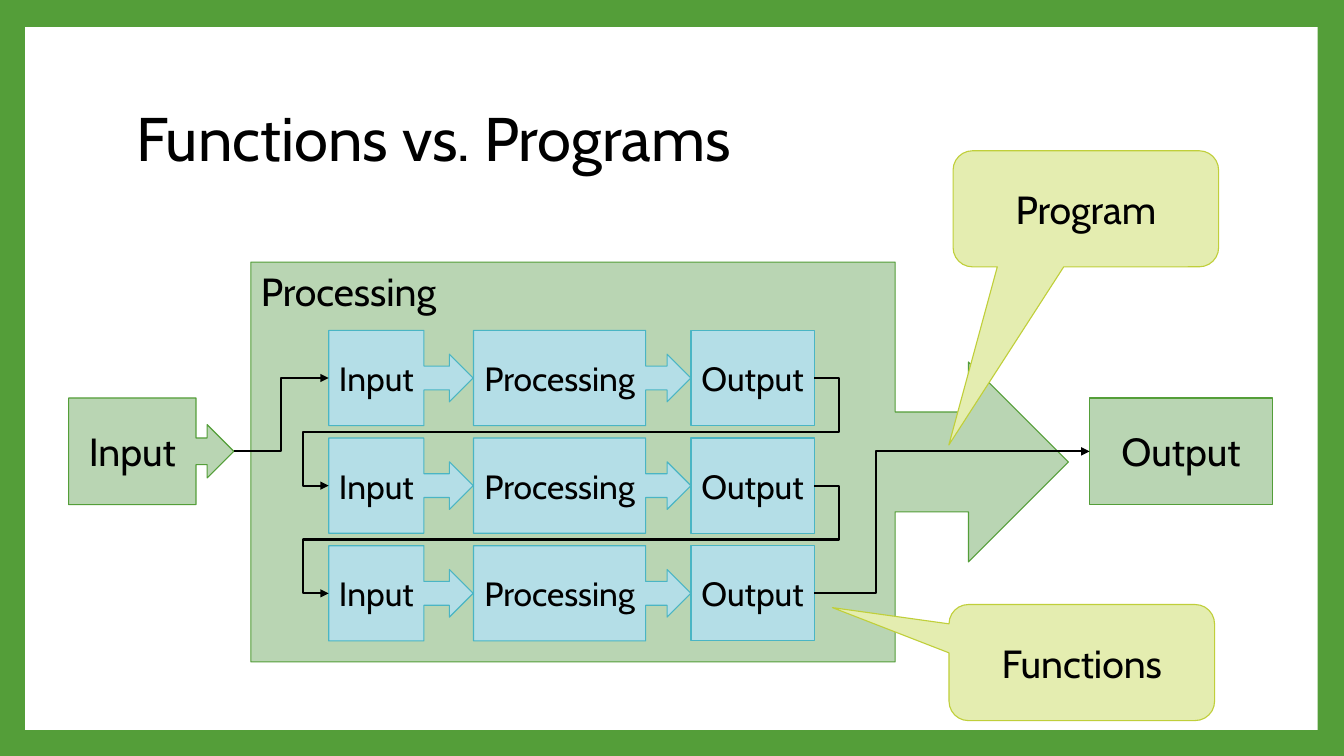
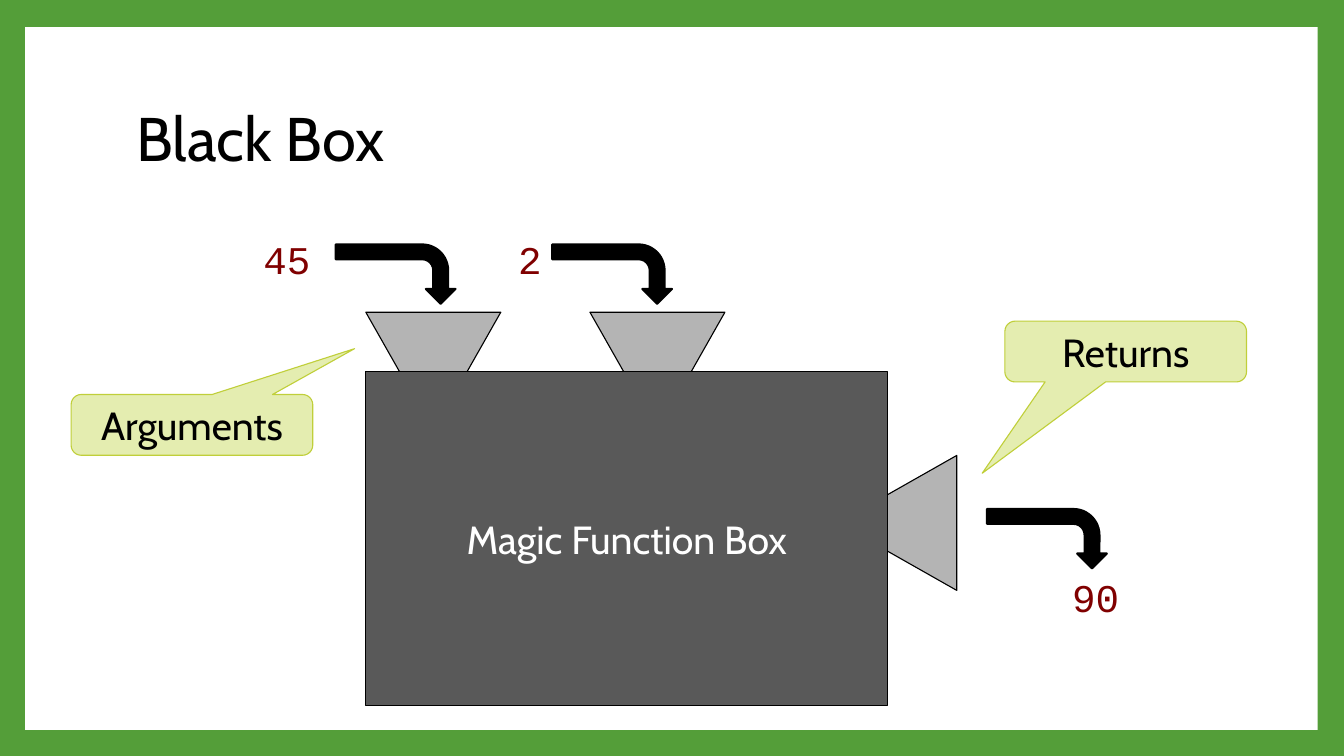
from dataclasses import dataclass

from lxml.etree import SubElement
from pptx import Presentation
from pptx.dml.color import RGBColor as RGB
from pptx.enum.shapes import MSO_CONNECTOR as CONN, MSO_SHAPE as SHAPE
from pptx.enum.text import MSO_ANCHOR as ANCHOR, MSO_AUTO_SIZE as AUTO, PP_ALIGN as ALIGN
from pptx.oxml.ns import qn
from pptx.util import Pt


@dataclass(frozen=True)
class Theme:
    frame: str = "549E39"
    paper: str = "FFFFFF"
    ink: str = "000000"
    value: str = "800000"
    # (fill, line) pairs
    green: tuple = ("B9D5B3", "549E39")
    blue: tuple = ("B4DEE7", "4AB5C4")
    lime: tuple = ("E4EDB0", "C0CF3A")
    grey: tuple = ("B4B4B4", "000000")
    dark: tuple = ("595959", "000000")
    black: tuple = ("000000", "000000")
    font: str = "Cabin"
    code: str = "Courier New"
    title: int = 44
    label: int = 28
    small: int = 24
    outline: float = 0.8
    wire: float = 1.5


T = Theme()


def add_box(s, kind, at, pair, text="", size=T.label, color=T.ink, adj=(), rot=0):
    """Add a filled shape with a centred label."""
    sp = s.shapes.add_shape(kind, *map(Pt, at))
    sp.shadow.inherit = False
    sp.rotation = rot
    for i, value in enumerate(adj):
        sp.adjustments[i] = value
    fill, line = pair
    sp.fill.solid()
    sp.fill.fore_color.rgb = RGB.from_string(fill)
    sp.line.color.rgb = RGB.from_string(line)
    sp.line.width = Pt(T.outline)
    if text:
        tf = sp.text_frame
        tf.word_wrap = True
        tf.vertical_anchor = ANCHOR.MIDDLE
        p = tf.paragraphs[0]
        p.alignment = ALIGN.CENTER
        r = p.add_run()
        r.text = text
        r.font.name = T.font
        r.font.size = Pt(size)
        r.font.color.rgb = RGB.from_string(color)
    return sp


def add_wire(s, start, end, preset, adj, source, target):
    """Add an elbow arrow from the right side of source to the left of target."""
    c = s.shapes.add_connector(CONN.ELBOW, *map(Pt, start + end))
    c.begin_connect(source, 3)
    c.end_connect(target, 1)
    c.line.color.rgb = RGB.from_string(T.ink)
    c.line.width = Pt(T.wire)
    sp_pr = c._element.spPr
    SubElement(sp_pr.find(qn("a:ln")), qn("a:tailEnd"), type="triangle")
    SubElement(sp_pr, qn("a:effectLst"))
    geom = sp_pr.find(qn("a:prstGeom"))
    geom.set("prst", preset)
    guides = geom.find(qn("a:avLst"))
    for i, value in enumerate(adj, 1):
        SubElement(guides, qn("a:gd"), name=f"adj{i}", fmla=f"val {round(value * 100000)}")


prs = Presentation()
prs.slide_width, prs.slide_height = Pt(960), Pt(540)

# Shared frame and title place
bg = prs.slide_master.background.fill
bg.solid()
bg.fore_color.rgb = RGB.from_string(T.frame)
layout = prs.slide_layouts[5]
slides = []
for title in ("Functions vs. Programs", "Black Box"):
    s = prs.slides.add_slide(layout)
    sp = s.shapes.title
    sp.left, sp.top, sp.width, sp.height = map(Pt, (90, 48, 778, 106.5))
    tf = sp.text_frame
    tf.auto_size = AUTO.NONE
    tf.vertical_anchor = ANCHOR.MIDDLE
    p = tf.paragraphs[0]
    p.alignment = ALIGN.LEFT
    p.line_spacing = 0.9
    r = p.add_run()
    r.text = title
    r.font.name = T.font
    r.font.size = Pt(T.title)
    r.font.color.rgb = RGB.from_string(T.ink)
    slides.append(s)
programs, black_box = slides

# The white panel belongs to the layout
panel = add_box(programs, SHAPE.RECTANGLE, (18, 19.3, 923.3, 502), (T.paper, T.paper))
panel.line.fill.background()
layout.shapes._spTree.insert(2, panel._element)

# Slide 1: the program
s = programs
ARROW_BOX = SHAPE.RIGHT_ARROW_CALLOUT
program_in = add_box(s, ARROW_BOX, (49, 284.3, 118, 76.2), T.green, "Input",
                     adj=(0.25, 0.25, 0.25, 0.771))
processing = add_box(s, ARROW_BOX, (179.2, 187.2, 584, 285.6), T.green, "Processing",
                     adj=(0.25, 0.25, 0.25, 0.788))
processing.text_frame.vertical_anchor = ANCHOR.TOP
processing.text_frame.paragraphs[0].alignment = ALIGN.LEFT
program_out = add_box(s, SHAPE.RECTANGLE, (778.3, 284.3, 130.6, 76.2), T.green, "Output")

# Three functions in rows
STEPS = (
    ("Input", ARROW_BOX, 234.8, 103.2, (0.25, 0.25, 0.25, 0.659)),
    ("Processing", ARROW_BOX, 338.2, 155.3, (0.25, 0.25, 0.25, 0.792)),
    ("Output", SHAPE.RECTANGLE, 493.6, 88, ()),
)
ROW_TOP, ROW_PITCH, ROW_H = 236, 76.9, 68
rows = [
    [add_box(s, kind, (x, ROW_TOP + i * ROW_PITCH, w, ROW_H), T.blue, text, T.small, adj=adj)
     for text, kind, x, w, adj in STEPS]
    for i in range(3)
]

# Callouts
ROUND_CALLOUT = SHAPE.ROUNDED_RECTANGULAR_CALLOUT
for s, text, at, tip in (
    (programs, "Functions", (677.9, 431.8, 189.7, 82.9), (-0.939, -0.473)),
    (programs, "Program", (680.8, 107.7, 189.7, 82.9), (-0.516, 2.035)),
    (black_box, "Arguments", (50.8, 281.8, 172.6, 43.4), (0.673, -1.255)),
    (black_box, "Returns", (717.8, 229.4, 172.6, 43.4), (-0.594, 2.004)),
):
    add_box(s, ROUND_CALLOUT, at, T.lime, text, adj=(*tip, 0.167))

# Wires between the functions
s = programs
LEFT, RIGHT, MIDDLE = 234.8, 581.6, 322.4
centres = [ROW_TOP + i * ROW_PITCH + ROW_H / 2 for i in range(3)]
for i in range(2):
    add_wire(s, (RIGHT, centres[i]), (LEFT, centres[i + 1]), "bentConnector5",
             (-0.052, 0.5, 1.052), rows[i][-1], rows[i + 1][0])
add_wire(s, (RIGHT, centres[2]), (778.3, MIDDLE), "bentConnector3", (0.224,),
         rows[2][-1], program_out)
add_wire(s, (167, MIDDLE), (LEFT, centres[0]), "bentConnector3", (0.5,),
         program_in, rows[0][0])

# Slide 2: funnels, then the box that covers their tips
s = black_box
for x, y, rot in ((592.7, 331, 270), (261.3, 223, 180), (421.4, 223, 180)):
    add_box(s, SHAPE.ISOSCELES_TRIANGLE, (x, y, 96.4, 85), T.grey, rot=rot)
add_box(s, SHAPE.FLOWCHART_PROCESS, (261, 265.5, 373.2, 238.3), T.dark,
        "Magic Function Box", color=T.paper)

# Bent arrows
for x, y in ((261.4, 153), (416, 153), (726.6, 342)):
    arrow = add_box(s, SHAPE.BENT_ARROW, (x, y, 42.4, 85.6), T.black, rot=90)
    arrow.line.width = Pt(T.wire)

# Values going in and coming out
for text, x, y, w in (("45", 181, 164.2, 48), ("2", 363, 164.2, 31.5), ("90", 758.7, 406.2, 48)):
    tf = s.shapes.add_textbox(Pt(x), Pt(y), Pt(w), Pt(41)).text_frame
    tf.word_wrap = False
    tf.auto_size = AUTO.SHAPE_TO_FIT_TEXT
    r = tf.paragraphs[0].add_run()
    r.text = text
    r.font.name = T.code
    r.font.size = Pt(T.label)
    r.font.color.rgb = RGB.from_string(T.value)

prs.save("out.pptx")
